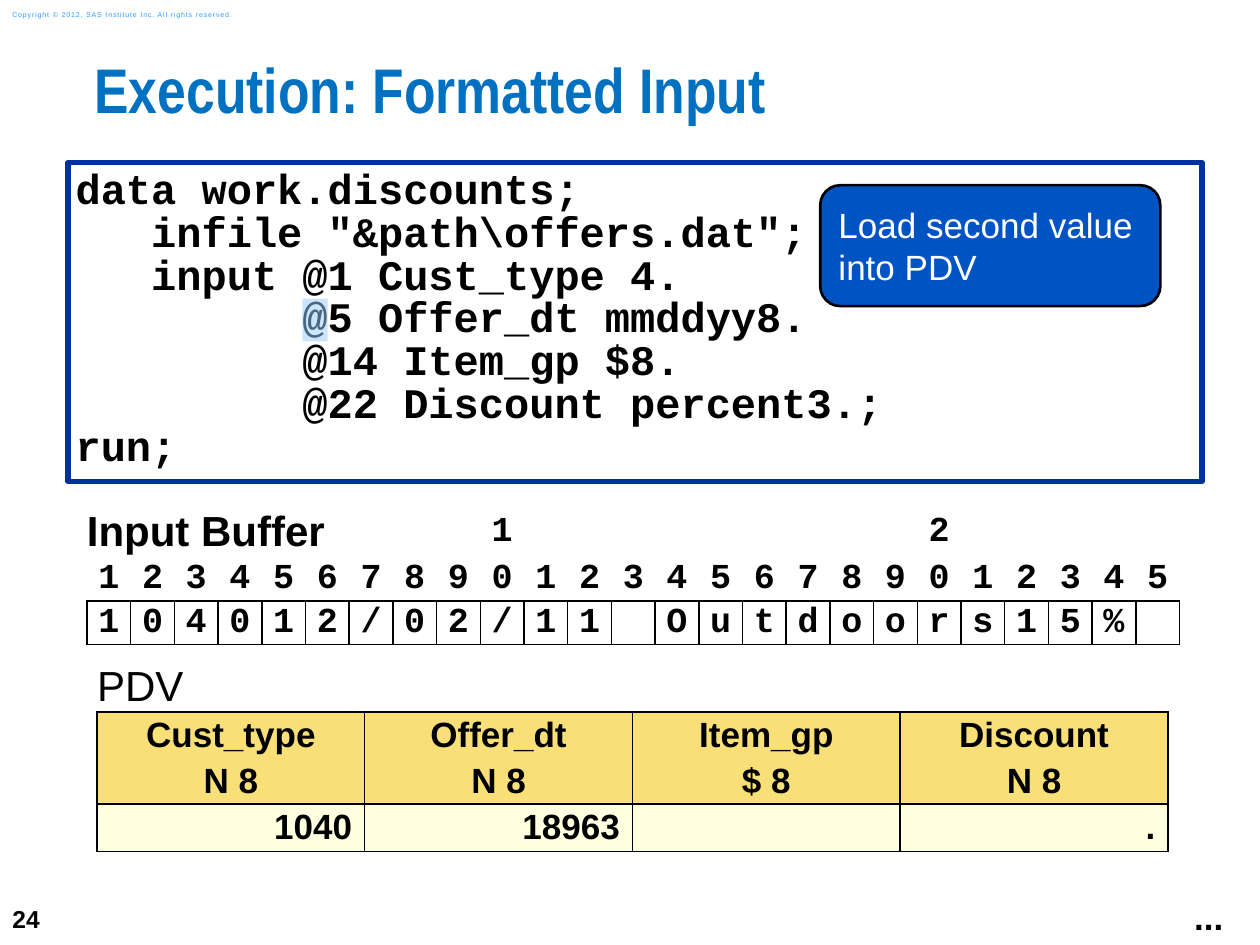
from lxml import etree
from pptx import Presentation, util as u
from pptx.dml.color import RGBColor
from pptx.enum import shapes, text
from pptx.oxml import ns

BLACK = RGBColor(0, 0, 0)
WHITE = RGBColor(255, 255, 255)
TITLE_BLUE = RGBColor(0x00, 0x70, 0xC0)
FRAME_BLUE = RGBColor(0x00, 0x33, 0x99)
CALLOUT_BLUE = RGBColor(0x00, 0x53, 0xC3)
CREDIT_BLUE = RGBColor(0x2A, 0x9C, 0xFF)
MARK_BLUE = RGBColor(0x99, 0xCC, 0xFF)
GOLD = RGBColor(0xF9, 0xDF, 0x78)
CREAM = RGBColor(0xFF, 0xFF, 0xE1)

WIDTH, HEIGHT = u.Inches(10), u.Inches(7.5)
LEFT, CENTER, RIGHT = text.PP_ALIGN.LEFT, text.PP_ALIGN.CENTER, text.PP_ALIGN.RIGHT
TOP, MIDDLE = text.MSO_ANCHOR.TOP, text.MSO_ANCHOR.MIDDLE
PLAIN_TABLE = "{2D5ABB26-0587-4C30-8999-92F81FD0307C}"
ALL_SIDES = ("L", "R", "T", "B")

CODE = r'''data work.discounts;
   infile "&path\offers.dat";
   input @1 Cust_type 4.
         @5 Offer_dt mmddyy8.
         @14 Item_gp $8.
         @22 Discount percent3.;
run;'''
RECORD = "104012/02/11 Outdoors15% "
VARIABLES = [("Cust_type", "N 8", "1040"), ("Offer_dt", "N 8", "18963"),
             ("Item_gp", "$ 8", ""), ("Discount", "N 8", ".")]


def share(x, y, w, h):
    return [round(v * full / 100)
            for v, full in zip((x, y, w, h), (WIDTH, HEIGHT) * 2)]


def write(tf, lines, size, color=BLACK, name="Arial", bold=False,
          align=LEFT, spacing=None, before=0):
    for i, line in enumerate(lines):
        p = tf.paragraphs[0] if i == 0 else tf.add_paragraph()
        p.alignment = align
        if spacing:
            p.line_spacing = spacing
        if i and before:
            p.space_before = u.Pt(before)
        r = p.add_run()
        r.text = line
        for key, value in {"size": u.Pt(size), "name": name, "bold": bold}.items():
            setattr(r.font, key, value)
        r.font.color.rgb = color


def set_frame(tf, x=0.0, y=0.0, wrap=True, anchor=TOP):
    values = {"margin_left": u.Inches(x), "margin_right": u.Inches(x),
              "margin_top": u.Inches(y), "margin_bottom": u.Inches(y),
              "word_wrap": wrap, "vertical_anchor": anchor}
    for key, value in values.items():
        setattr(tf, key, value)


def add_label(s, box, label, x=0.1, y=0.05, wrap=True, anchor=TOP, **style):
    tf = s.shapes.add_textbox(*box).text_frame
    set_frame(tf, x, y, wrap, anchor)
    write(tf, [label], **style)
    return tf


def add_panel(s, kind, box, fill, line=None, weight=0):
    sp = s.shapes.add_shape(kind, *box)
    sp.shadow.inherit = False
    sp.fill.solid()
    sp.fill.fore_color.rgb = fill
    if line is None:
        sp.line.fill.background()
    else:
        sp.line.color.rgb = line
        sp.line.width = u.Pt(weight)
    return sp


def add_grid(s, box, heights, columns):
    x, y, w, h = box
    frame = s.shapes.add_table(len(heights), columns, x, y, w, h)
    table = frame.table
    for flag in ("first_row", "horz_banding"):
        setattr(table, flag, False)
    next(frame.element.iter(ns.qn("a:tableStyleId"))).text = PLAIN_TABLE
    for row, height in zip(table.rows, heights):
        row.height = round(h * height / sum(heights))
    for column in table.columns:
        column.width = round(w / columns)
    return table


def format_cell(cell, lines, sides=(), fill=None, x=0, **style):
    for key, value in {"margin_left": u.Inches(x), "margin_right": u.Inches(x),
                       "margin_top": 0, "margin_bottom": 0,
                       "vertical_anchor": MIDDLE}.items():
        setattr(cell, key, value)
    if any(line.strip() for line in lines):
        write(cell.text_frame, lines, **style)
    props = cell._tc.get_or_add_tcPr()
    for side in sides:
        ln = etree.SubElement(props, ns.qn(f"a:ln{side}"), w=str(u.Pt(1)))
        solid = etree.SubElement(ln, ns.qn("a:solidFill"))
        etree.SubElement(solid, ns.qn("a:srgbClr"), val=str(BLACK))
    if fill is None:
        cell.fill.background()
    else:
        cell.fill.solid()
        cell.fill.fore_color.rgb = fill


def add_code(s, box):
    sp = add_panel(s, shapes.MSO_SHAPE.RECTANGLE, box, WHITE, FRAME_BLUE, 3)
    set_frame(sp.text_frame, 0.06, 0.06)
    write(sp.text_frame, CODE.split("\n"), 24, name="Courier New", bold=True, spacing=0.85)


def add_callout(s, box):
    sp = add_panel(s, shapes.MSO_SHAPE.ROUNDED_RECTANGLE, box, CALLOUT_BLUE, BLACK, 1.5)
    set_frame(sp.text_frame, 0.1, 0.1)
    write(sp.text_frame, ["Load second value into PDV"], 20, WHITE)


def add_code_mark(s, box, row, column):
    x, y, w, h = box
    inset, char, line = u.Inches(0.06), w / 45, h / 7.44
    spot = [round(v) for v in (x + inset + column * char, y + inset + row * line, char, line)]
    sp = add_panel(s, shapes.MSO_SHAPE.RECTANGLE, spot, MARK_BLUE)
    color = next(sp.fill._xPr.iter(ns.qn("a:srgbClr")))
    etree.SubElement(color, ns.qn("a:alpha"), val="50000")


def add_buffer(s, box):
    table = add_grid(s, box, (0.4, 0.35, 0.35), len(RECORD))
    mono = {"size": 20, "name": "Courier New", "bold": True, "align": CENTER}
    table.cell(0, 0).merge(table.cell(0, 8))
    format_cell(table.cell(0, 0), ["Input Buffer"], size=24, bold=True)
    for i, char in enumerate(RECORD):
        position = i + 1
        if position > 9:
            tens = "" if position % 10 else str(position // 10)
            format_cell(table.cell(0, i), [tens], **mono)
        format_cell(table.cell(1, i), [str(position % 10)], "B", **mono)
        format_cell(table.cell(2, i), [char], ALL_SIDES, **mono)


def add_pdv(s, box):
    table = add_grid(s, box, (0.4, 0.73, 0.38), len(VARIABLES))
    table.cell(0, 0).merge(table.cell(0, len(VARIABLES) - 1))
    format_cell(table.cell(0, 0), ["PDV"], "B", WHITE, size=24)
    bold = {"x": 0.1, "size": 20, "bold": True}
    for i, (name, kind, value) in enumerate(VARIABLES):
        format_cell(table.cell(1, i), [name, kind], ALL_SIDES, GOLD,
                    align=CENTER, before=4, **bold)
        format_cell(table.cell(2, i), [value], ALL_SIDES, CREAM, align=RIGHT, **bold)


def add_footer(s, number_box, more_box):
    add_label(s, number_box, "24", wrap=False, anchor=MIDDLE, size=14, bold=True)
    add_label(s, more_box, "...", wrap=False, size=20, bold=True)


def add_credit(s, box):
    tf = add_label(s, box, "Copyright © 2012, SAS Institute Inc. All rights reserved.",
                   anchor=MIDDLE, size=4, color=CREDIT_BLUE)
    tf.paragraphs[0].runs[0].font._element.set("spc", "50")


def main():
    prs = Presentation()
    prs.slide_width, prs.slide_height = WIDTH, HEIGHT
    s = prs.slides.add_slide(prs.slide_layouts[6])
    code_box = share(5.4, 17.2, 90, 33.73)
    add_credit(s, share(0, 0.4, 21.1, 2.27))
    add_label(s, share(7.5, 6.67, 92.5, 9.87), "Execution: Formatted Input", 0, 0,
              size=36, color=TITLE_BLUE, name="Arial Narrow", bold=True, spacing=0.83)
    add_buffer(s, share(6.9, 53.6, 86.8, 14.6))
    add_pdv(s, share(7.7, 70, 85, 20.13))
    add_code(s, code_box)
    add_footer(s, share(0, 94.4, 5.8, 5.6), share(93.8, 94.13, 4.3, 5.87))
    add_callout(s, share(65.1, 19.6, 27, 12.8))
    add_code_mark(s, code_box, 3, 9)
    prs.save("out.pptx")


if __name__ == "__main__":
    main()
